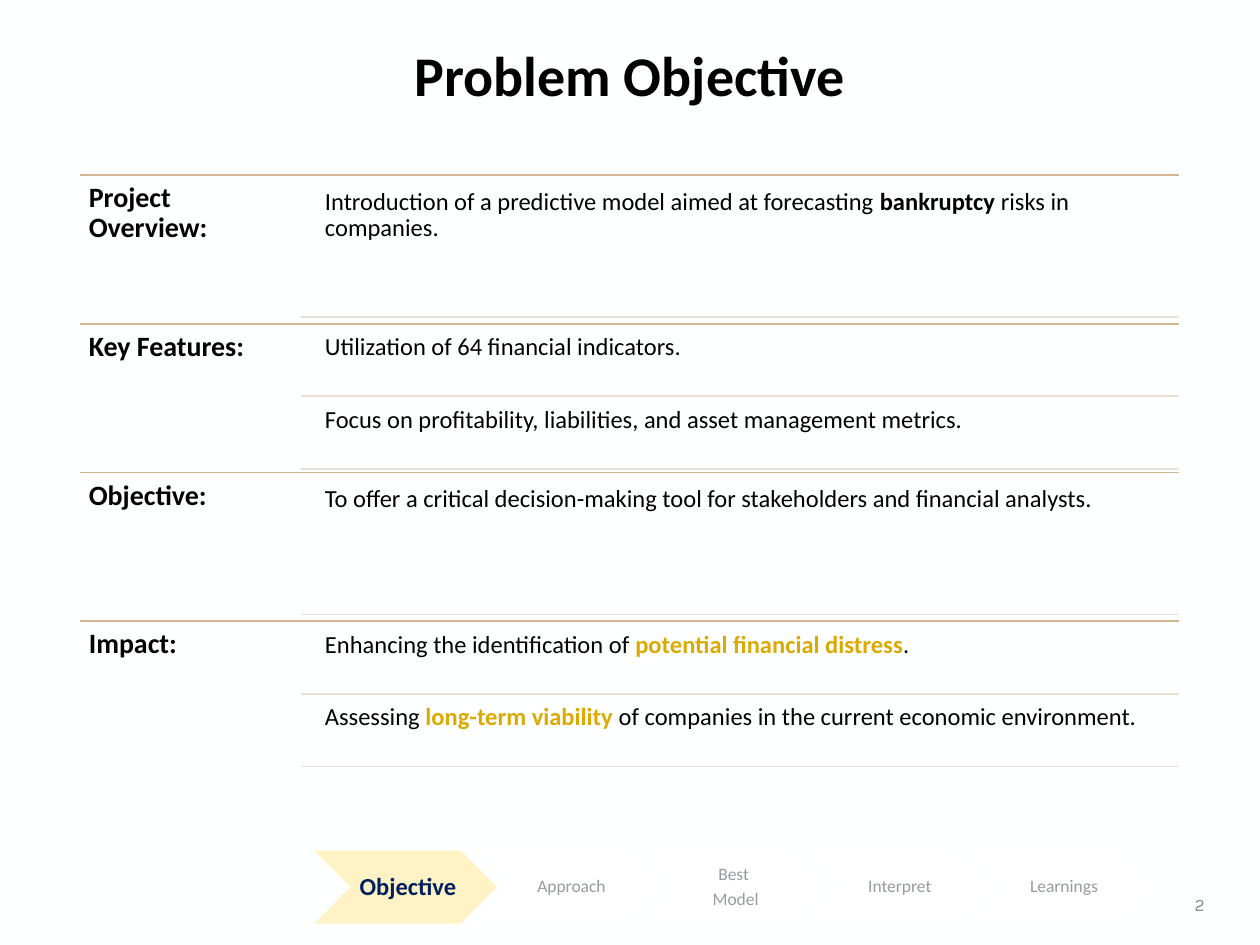
"""Build the Problem Objective slide: four ruled sections above a progress bar."""
from dataclasses import dataclass

from lxml.etree import SubElement
from pptx import Presentation
from pptx.dml.color import RGBColor
from pptx.enum.shapes import MSO_CONNECTOR as Connector, MSO_SHAPE as Shape
from pptx.enum.text import MSO_ANCHOR as Anchor, PP_ALIGN as Align
from pptx.oxml.ns import qn
from pptx.util import Pt


@dataclass(frozen=True)
class Theme:
    font: str = "Calibri"
    number_font: str = "Karla"
    background: str = "FEFFFF"
    ink: str = "000000"
    gold: str = "DAAA00"
    section_rule: str = "CFB891"
    detail_rule: str = "E9DFD2"
    active_fill: str = "FFF2C5"
    active_ink: str = "002060"
    step_fill: str = "FFFFFF"
    step_ink: str = "969BA2"
    number_ink: str = "8C8C8C"
    title_size: int = 32
    heading_size: int = 16
    detail_size: int = 14
    active_size: int = 14
    small_size: int = 10


THEME = Theme()
LEFT, RIGHT, TOP = 46, 674, 100
SECTION_HEIGHT = 85
HEADING_WIDTH = 125.5
RULE_LEFT, DETAIL_LEFT = 172, 181.5
GAP_RATIO = 0.05
STEP_LEFT, STEP_TOP, STEP_WIDTH, STEP_HEIGHT = 179.5, 486, 104.5, 41.8
STEP_PITCH = 93.8

SECTIONS = [
    ("Project Overview:", [
        ["Introduction of a predictive model aimed at forecasting ",
         ("bankruptcy", THEME.ink), " risks in companies."]]),
    ("Key Features:", [
        ["Utilization of 64 financial indicators."],
        ["Focus on profitability, liabilities, and asset management metrics."]]),
    ("Objective:", [
        ["To offer a critical decision-making tool for stakeholders "
         "and financial analysts."]]),
    ("Impact:", [
        ["Enhancing the identification of ",
         ("potential financial distress", THEME.gold), "."],
        ["Assessing ", ("long-term viability ", THEME.gold),
         "of companies in the current economic environment."]]),
]
STEPS = [["Objective"], ["Approach"], ["Best ", "Model"], ["Interpret"], ["Learnings"]]


def rgb(value):
    return RGBColor.from_string(value)


def write(frame, paragraphs, *, size, color=THEME.ink, font=THEME.font, bold=False,
          align=Align.LEFT, anchor=Anchor.TOP, insets=(7.2, 3.6, 7.2, 3.6),
          wrap=True, line_spacing=0.9, space_after=0):
    frame.word_wrap = wrap
    frame.vertical_anchor = anchor
    (frame.margin_left, frame.margin_top,
     frame.margin_right, frame.margin_bottom) = map(Pt, insets)
    for index, pieces in enumerate(paragraphs):
        paragraph = frame.add_paragraph() if index else frame.paragraphs[0]
        paragraph.alignment = align
        paragraph.line_spacing = line_spacing
        paragraph.space_before = Pt(0)
        paragraph.space_after = Pt(space_after)
        for piece in pieces:
            emphasised = isinstance(piece, tuple)
            text, ink = piece if emphasised else (piece, color)
            run = paragraph.add_run()
            run.text = text
            run.font.name = font
            run.font.size = Pt(size)
            run.font.bold = bold or emphasised
            run.font.color.rgb = rgb(ink)


def add_text(slide, left, top, width, height, paragraphs, **text_format):
    box = slide.shapes.add_textbox(Pt(left), Pt(top), Pt(width), Pt(height))
    write(box.text_frame, paragraphs, **text_format)


def add_rule(slide, left, y, color):
    rule = slide.shapes.add_connector(
        Connector.STRAIGHT, Pt(left), Pt(y), Pt(RIGHT), Pt(y))
    rule.line.color.rgb = rgb(color)
    rule.line.width = Pt(1)
    SubElement(rule.element.spPr, qn("a:effectLst"))


def add_title(slide, text):
    title = slide.shapes.title
    title.left, title.top, title.width, title.height = map(Pt, (27.4, 21.6, 665.2, 46))
    write(title.text_frame, [[text]], size=THEME.title_size, bold=True,
          align=Align.CENTER, anchor=Anchor.MIDDLE)


def add_section(slide, top, heading, details):
    add_rule(slide, LEFT, top, THEME.section_rule)
    add_text(slide, LEFT, top, HEADING_WIDTH, SECTION_HEIGHT, [[heading]],
             size=THEME.heading_size, bold=True, insets=(4.8,) * 4,
             space_after=0.35 * THEME.heading_size)
    count = len(details)
    height = SECTION_HEIGHT / (count + GAP_RATIO * (count + 1))
    gap = GAP_RATIO * height
    for index, detail in enumerate(details):
        detail_top = top + gap + index * (height + gap)
        add_text(slide, DETAIL_LEFT, detail_top, RIGHT - DETAIL_LEFT, height, [detail],
                 size=THEME.detail_size, insets=(4.2,) * 4,
                 space_after=0.35 * THEME.detail_size)
        add_rule(slide, RULE_LEFT, detail_top + height, THEME.detail_rule)


def add_step(slide, left, lines, active):
    step = slide.shapes.add_shape(
        Shape.CHEVRON, Pt(left), Pt(STEP_TOP), Pt(STEP_WIDTH), Pt(STEP_HEIGHT))
    step.shadow.inherit = False
    step.fill.solid()
    step.fill.fore_color.rgb = rgb(THEME.active_fill if active else THEME.step_fill)
    step.line.fill.background()
    size = THEME.active_size if active else THEME.small_size
    write(step.text_frame, [[line] for line in lines], size=size, bold=active,
          color=THEME.active_ink if active else THEME.step_ink,
          align=Align.CENTER, anchor=Anchor.MIDDLE, wrap=False,
          insets=(4.2, 1.4, 1.4, 1.4) if active else (3, 1, 1, 1),
          space_after=0.35 * size)


def main():
    deck = Presentation()
    deck.slide_width, deck.slide_height = Pt(720), Pt(540)
    slide = deck.slides.add_slide(deck.slide_layouts.get_by_name("Title Only"))
    slide.background.fill.solid()
    slide.background.fill.fore_color.rgb = rgb(THEME.background)
    add_title(slide, "Problem Objective")
    add_text(slide, 623.5, 504, 72, 25.2, [["2"]], size=THEME.small_size,
             font=THEME.number_font, color=THEME.number_ink, align=Align.RIGHT,
             anchor=Anchor.MIDDLE, line_spacing=1, space_after=6)
    for index, (heading, details) in enumerate(SECTIONS):
        add_section(slide, TOP + index * SECTION_HEIGHT, heading, details)
    for index, lines in enumerate(STEPS):
        add_step(slide, STEP_LEFT + index * STEP_PITCH, lines, active=index == 0)
    deck.save("out.pptx")


if __name__ == "__main__":
    main()
